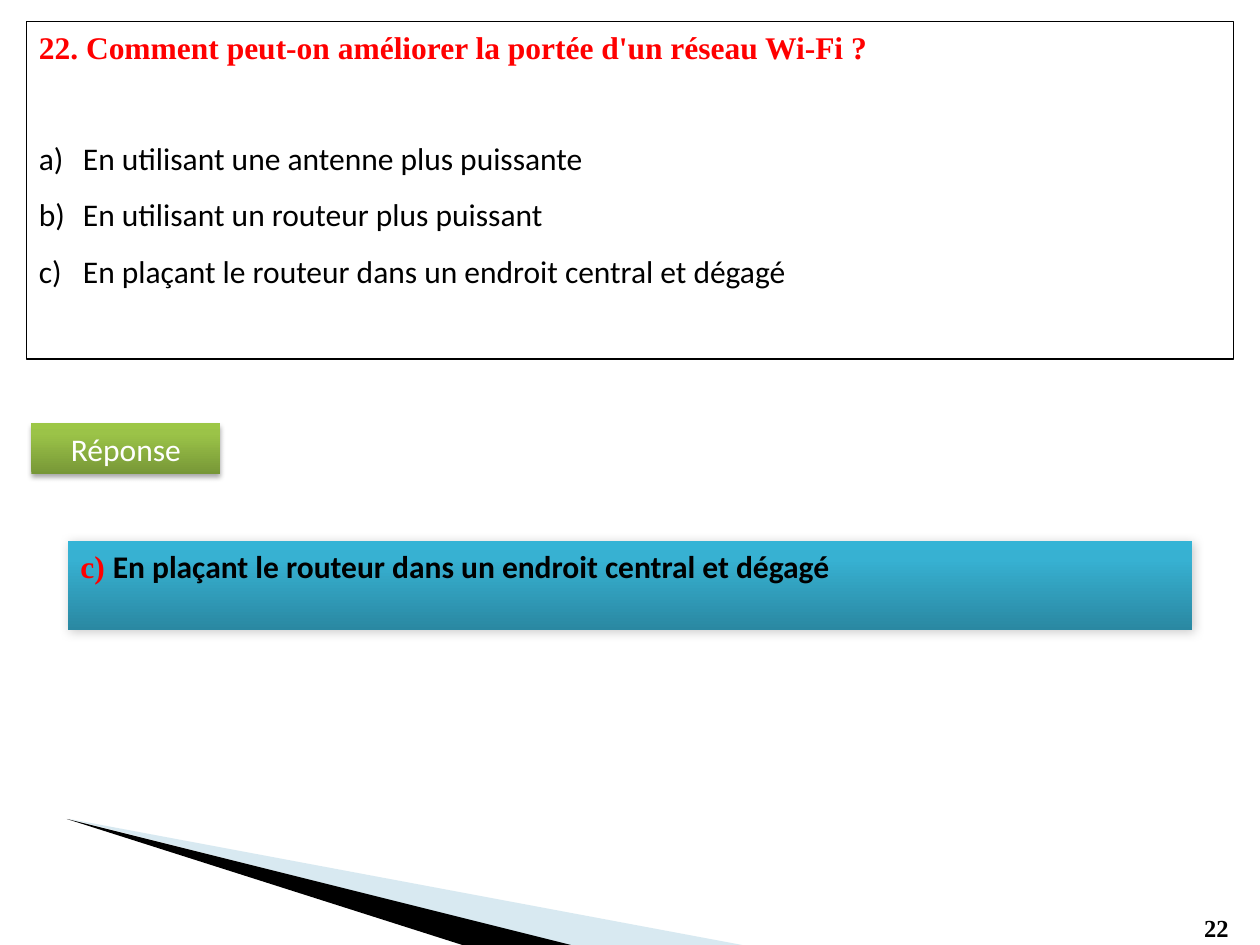
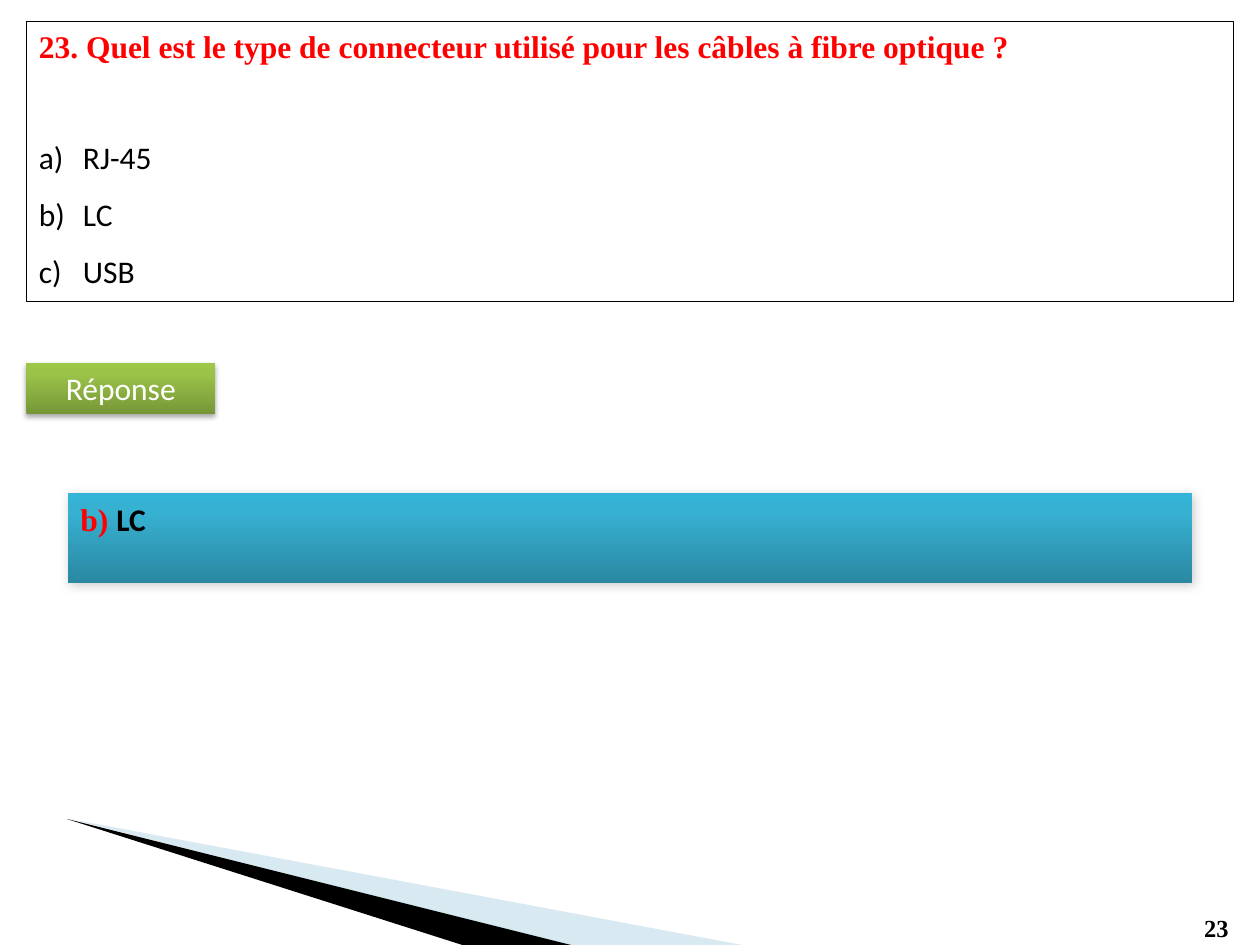
"""Build two quiz slides, each with a question, its options and the answer."""
from copy import deepcopy
from dataclasses import dataclass

from lxml import etree
from pptx import Presentation
from pptx import util as u
from pptx.dml.color import RGBColor
from pptx.enum import shapes, text
from pptx.oxml.ns import qn


@dataclass(frozen=True)
class Theme:
    black: str = "000000"
    white: str = "FFFFFF"
    accent: str = "FF0000"
    pale: str = "9FCADC"
    green: tuple = ((0, "779737"), (0.8, "9BC348"), (1, "9DC746"))
    blue: tuple = ((0, "2A88A2"), (0.8, "37B1D2"), (1, "34B4D6"))
    serif: str = "Times New Roman"
    sans: str = "Calibri"
    body: int = 18
    number: int = 14


@dataclass(frozen=True)
class Quiz:
    number: int
    question: str
    options: tuple
    correct: int
    box_height: float
    button_left: float
    button_top: float
    answer_top: float


THEME = Theme()
QUIZZES = (
    Quiz(22, "Comment peut-on améliorer la portée d'un réseau Wi-Fi ?",
         ("En utilisant une antenne plus puissante",
          "En utilisant un routeur plus puissant",
          "En plaçant le routeur dans un endroit central et dégagé"),
         2, 193, 18, 242, 309),
    Quiz(23, "Quel est le type de connecteur utilisé pour les câbles à fibre optique ?",
         ("RJ-45", "LC", "USB"),
         1, 160, 15.1, 207.4, 282),
)


def rgb(color):
    return RGBColor.from_string(color)


def style_run(r, font, color, size=THEME.body, bold=False):
    r.font.name = font
    r.font.size = u.Pt(size)
    r.font.bold = bold
    r.font.color.rgb = rgb(color)


def add_alpha(color_element, percent):
    etree.SubElement(color_element, qn("a:alpha"), val=str(percent * 1000))


def add_box(s, left, top, width, height):
    sp = s.shapes.add_shape(shapes.MSO_SHAPE.RECTANGLE, u.Pt(left), u.Pt(top),
                            u.Pt(width), u.Pt(height))
    sp.shadow.inherit = False
    sp.fill.background()
    sp.line.fill.background()
    tf = sp.text_frame
    tf.word_wrap = True
    tf.vertical_anchor = text.MSO_ANCHOR.TOP
    return sp


def fill_gradient(sp, stops):
    sp.fill.gradient()
    sp.fill.gradient_angle = 90
    gs_list = sp.element.spPr.find(qn("a:gradFill")).find(qn("a:gsLst"))
    gs_list.append(deepcopy(gs_list[0]))
    for stop, (position, color) in zip(sp.fill.gradient_stops, stops):
        stop.position = position
        stop.color.rgb = rgb(color)


def add_shadow(sp, alpha, blur, distance, angle):
    effects = sp.element.spPr.find(qn("a:effectLst"))
    shadow = etree.SubElement(
        effects, qn("a:outerShdw"), blurRad=str(u.Pt(blur)),
        dist=str(u.Pt(distance)), dir=str(angle * 60000), rotWithShape="0")
    add_alpha(etree.SubElement(shadow, qn("a:srgbClr"), val=THEME.black), alpha)


def add_wedge(s, points, color, alpha=100):
    corners = [(u.Pt(x), u.Pt(y)) for x, y in points]
    builder = s.shapes.build_freeform(*corners[0])
    builder.add_line_segments(corners[1:], close=True)
    sp = builder.convert_to_shape()
    sp.shadow.inherit = False
    sp.line.fill.background()
    sp.fill.solid()
    sp.fill.fore_color.rgb = rgb(color)
    if alpha < 100:
        add_alpha(sp.element.spPr.find(qn("a:solidFill"))[0], alpha)


def add_footer(s, number):
    add_wedge(s, ((39.6, 468), (324.7, 540), (424.1, 540)), THEME.pale, 40)
    add_wedge(s, ((38.2, 468), (39, 468.3), (264.2, 540), (326.2, 540)), THEME.black)
    tb = s.shapes.add_textbox(u.Pt(681), u.Pt(518.4), u.Pt(38.2), u.Pt(24.2))
    tf = tb.text_frame
    tf.word_wrap = True
    tf.text = str(number)
    style_run(tf.paragraphs[0].runs[0], THEME.serif, THEME.black, THEME.number, True)


def number_option(p):
    pPr = p._p.get_or_add_pPr()
    pPr.set("marL", str(u.Pt(25.2)))
    pPr.set("indent", str(u.Pt(-27)))
    etree.SubElement(pPr, qn("a:buFont"), typeface="+mj-lt")
    etree.SubElement(pPr, qn("a:buAutoNum"), type="alphaLcParenR")


def add_question(s, quiz):
    sp = add_box(s, 15.1, 12.2, 689.8, quiz.box_height)
    sp.line.color.rgb = rgb(THEME.black)
    sp.line.width = u.Pt(0.75)
    tf = sp.text_frame
    tf.text = f"{quiz.number}. {quiz.question}"
    p = tf.paragraphs[0]
    p.alignment = text.PP_ALIGN.LEFT
    style_run(p.runs[0], THEME.serif, THEME.accent, bold=True)
    for i, option in enumerate(quiz.options):
        p = tf.add_paragraph()
        p.text = option
        p.alignment = text.PP_ALIGN.LEFT
        p.line_spacing = 1.5
        p.space_before = u.Pt(0 if i else 31)
        number_option(p)
        style_run(p.runs[0], THEME.sans, THEME.black)


def add_button(s, left, top):
    sp = add_box(s, left, top, 108, 29)
    fill_gradient(sp, THEME.green)
    add_shadow(sp, 35, 3.1, 1.8, 90)
    tf = sp.text_frame
    tf.text = "Réponse"
    p = tf.paragraphs[0]
    p.alignment = text.PP_ALIGN.CENTER
    style_run(p.runs[0], THEME.sans, THEME.white)


def add_answer(s, quiz):
    sp = add_box(s, 38.9, quiz.answer_top, 642.2, 51)
    fill_gradient(sp, THEME.blue)
    add_shadow(sp, 20, 6, 1, 45)
    p = sp.text_frame.paragraphs[0]
    p.text = f"{'abc'[quiz.correct]}) "
    p.alignment = text.PP_ALIGN.JUSTIFY
    style_run(p.runs[0], THEME.serif, THEME.accent, bold=True)
    r = p.add_run()
    r.text = quiz.options[quiz.correct]
    style_run(r, THEME.sans, THEME.black, bold=True)


def main():
    prs = Presentation()
    prs.slide_width, prs.slide_height = u.Pt(720), u.Pt(540)
    for quiz in QUIZZES:
        s = prs.slides.add_slide(prs.slide_layouts[6])
        add_footer(s, quiz.number)
        add_question(s, quiz)
        add_button(s, quiz.button_left, quiz.button_top)
        add_answer(s, quiz)
    prs.save("out.pptx")


if __name__ == "__main__":
    main()
